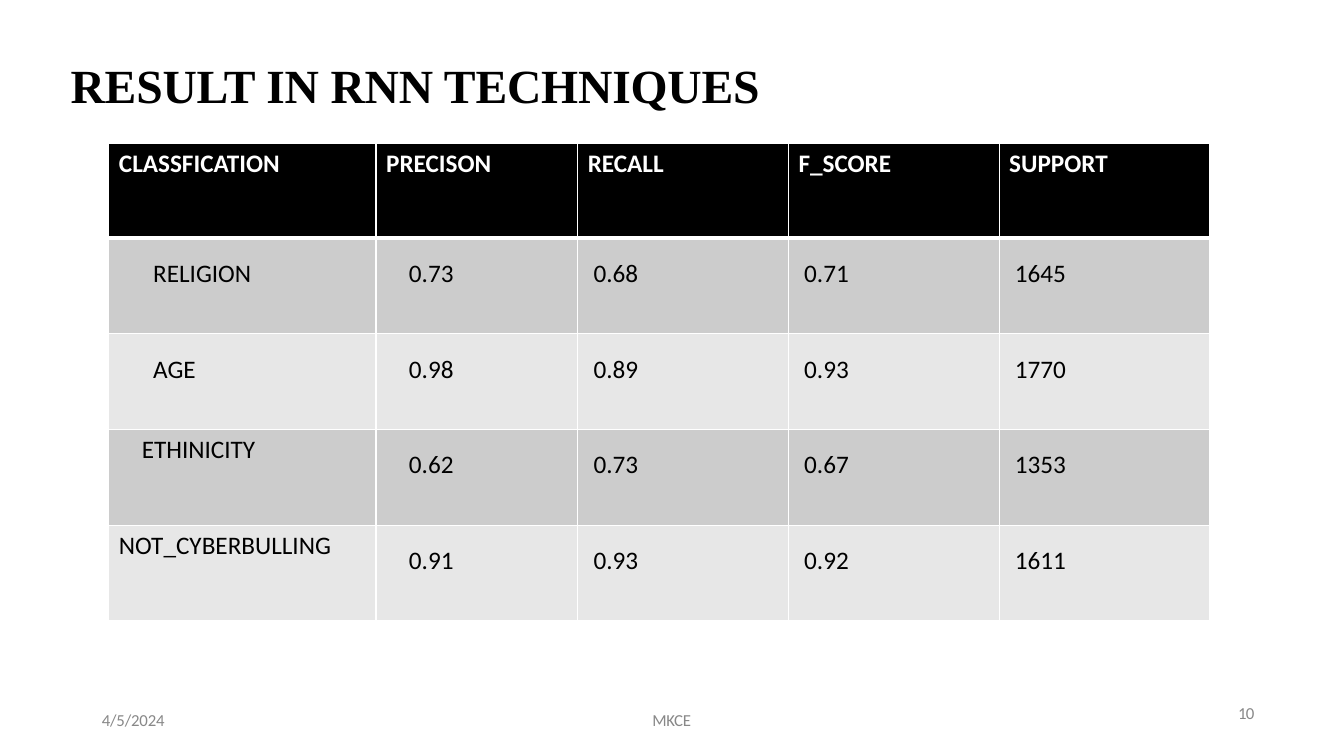
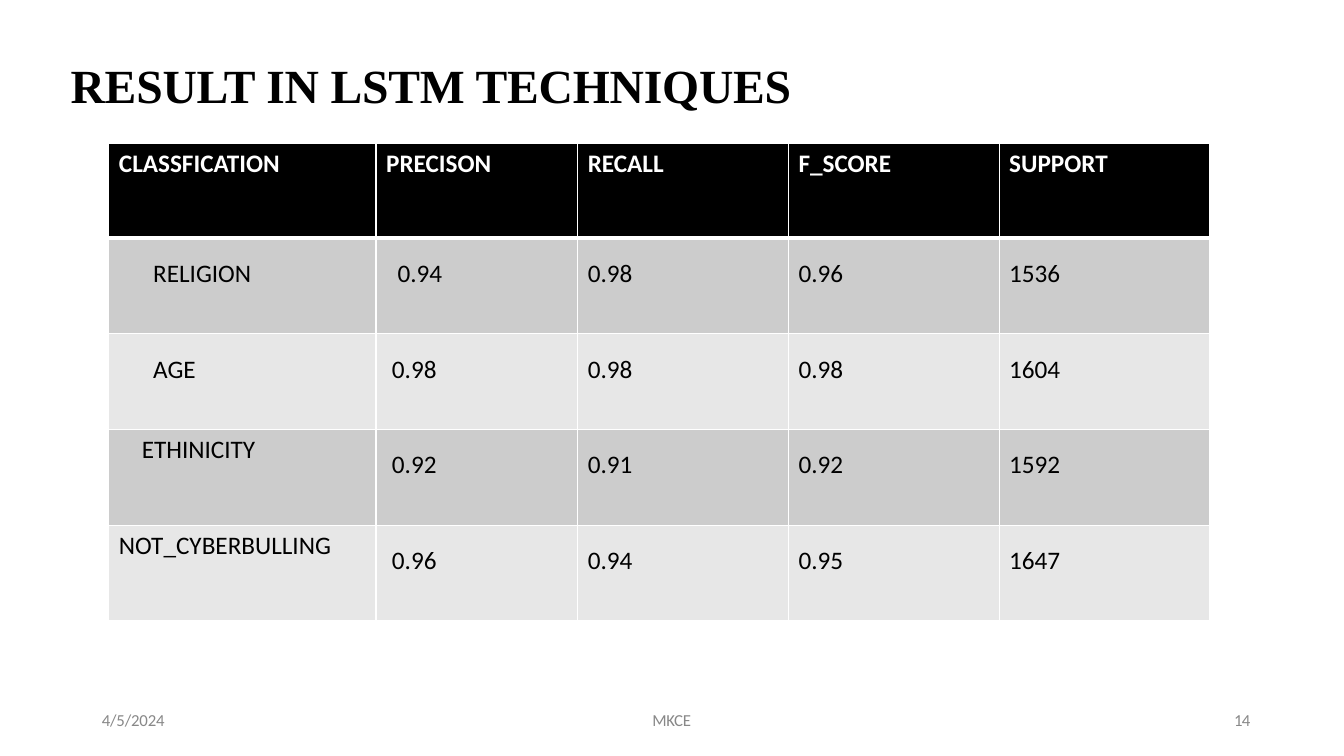
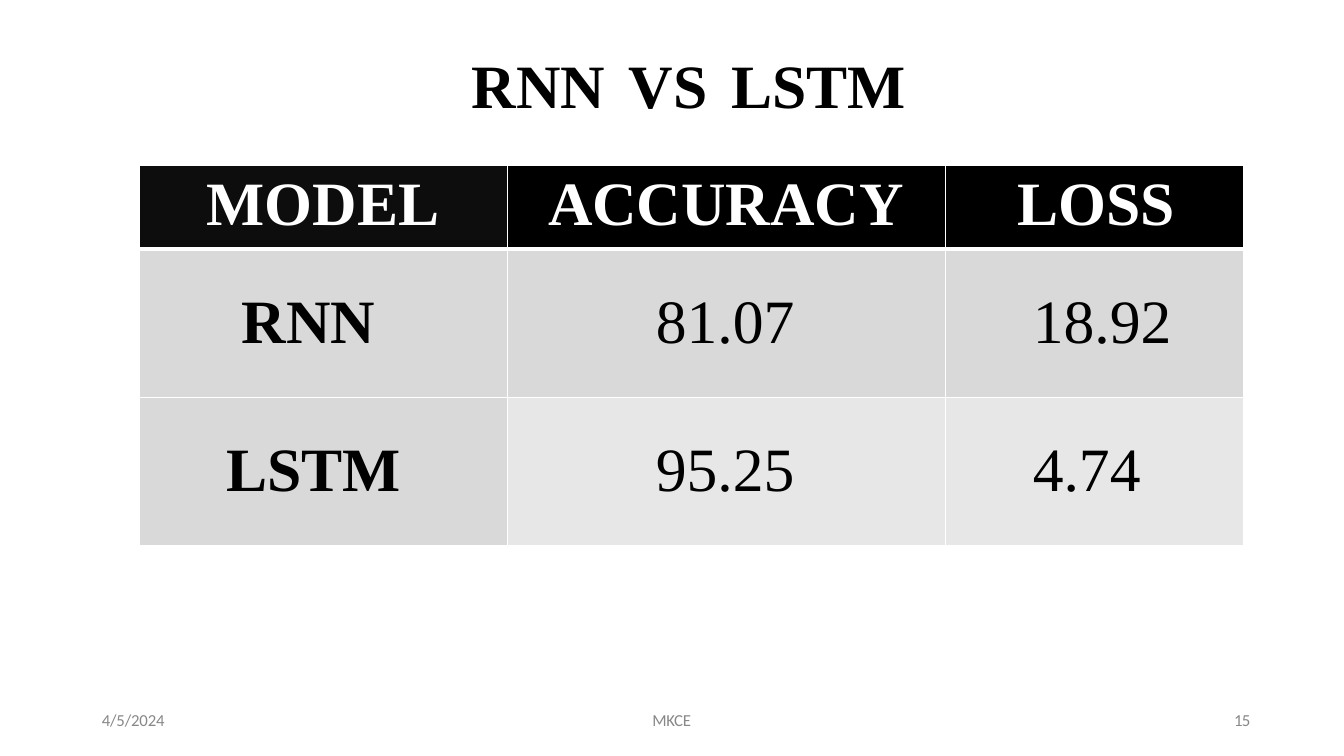
from lxml.etree import SubElement
from pptx import Presentation
from pptx.dml.color import RGBColor
from pptx.enum.text import PP_ALIGN
from pptx.oxml.ns import qn
from pptx.util import Inches, Pt

BLACK = RGBColor(0x00, 0x00, 0x00)
INK = RGBColor(0x0D, 0x0D, 0x0D)
WHITE = RGBColor(0xFF, 0xFF, 0xFF)
GREY = RGBColor(0x88, 0x88, 0x88)
DARK = RGBColor(0xCC, 0xCC, 0xCC)
MID = RGBColor(0xD9, 0xD9, 0xD9)
PALE = RGBColor(0xE7, 0xE7, 0xE7)
SERIF, SANS = "Times New Roman", "Calibri"

# Width of one indent step, in ems of each font
STEP = {SERIF: 0.25, SANS: 0.226}


class Deck:
    def __init__(self):
        self.prs = Presentation()
        self.prs.slide_width = Inches(13.33)
        self.prs.slide_height = Inches(7.5)
        self.slide = None

    def page(self, number, left=12.24, top=7.07):
        """Start a slide with its footer."""
        self.slide = self.prs.slides.add_slide(self.prs.slide_layouts[6])
        notes = [("4/5/2024", 1.01, 7.07, 0.75, -0.1),
                 ("MKCE", 6.47, 7.07, 0.42, -0.2),
                 (str(number), left, top, 0.22, -0.5)]
        for text, x, y, width, track in notes:
            para = self.box(text, x, y, width, 0.2)
            para.line_spacing = Pt(12.4)
            self.style(para.runs[0], SANS, 12, GREY, track=track)

    def box(self, text, left, top, width, height):
        shape = self.slide.shapes.add_textbox(
            Inches(left), Inches(top), Inches(width), Inches(height))
        frame = shape.text_frame
        frame.margin_left = frame.margin_right = 0
        frame.margin_top = frame.margin_bottom = 0
        frame.word_wrap = False
        frame.text = text
        return frame.paragraphs[0]

    def style(self, run, face, size, color, bold=False, track=0):
        font = run.font
        font.name, font.size, font.bold = face, Pt(size), bold
        font.color.rgb = color
        if track:
            run._r.get_or_add_rPr().set("spc", str(round(track * 100)))

    def title(self, words, left, top, width, height, size=34):
        """Title of one or more words, set apart by wide gaps."""
        para = self.box(words[0], left, top, width, height)
        para.space_before = Pt(0.9)
        for word in words[1:]:
            gap = para.add_run()
            gap.text = " "
            self.style(gap, SERIF, 34, BLACK, True, 8.4)
            para.add_run().text = word
        for run in para.runs[::2]:
            self.style(run, SERIF, size, BLACK, True, -0.1)

    def edge(self, cell, sides):
        props = cell._tc.get_or_add_tcPr()
        for side, width in zip("LRTB", sides):
            line = SubElement(props, qn("a:ln" + side), w=str(Pt(width)))
            fill = SubElement(line, qn("a:solidFill"))
            SubElement(fill, qn("a:srgbClr"), val=str(WHITE))

    def table(self, data, left, top, cols, rows, face, size, fills,
              steps, tight=(), strong=False):
        """Grid with a header row; steps are indents, tight cells single-spaced."""
        grid = self.slide.shapes.add_table(
            len(rows), len(cols), Inches(left), Inches(top),
            Inches(sum(cols)), Inches(sum(rows))).table
        for col, width in zip(grid.columns, cols):
            col.width = Inches(width)
        for row, height in zip(grid.rows, rows):
            row.height = Inches(height)
        for i, line in enumerate(data):
            head = i == 0
            for j, text in enumerate(line):
                cell = grid.cell(i, j)
                self.edge(cell, (1, 1, 3 if i == 1 else 1, 3 if head else 1))
                cell.fill.solid()
                cell.fill.fore_color.rgb = fills[i][j]
                cell.text_frame.text = text
                para = cell.text_frame.paragraphs[0]
                if not head and (i, j) not in tight:
                    para.line_spacing = 1.5
                indent = Pt(steps[i][j] * STEP[face] * size)
                para._p.get_or_add_pPr().set("marL", str(indent))
                self.style(para.runs[0], face, size, WHITE if head else BLACK,
                           head or (strong and j == 0))
        return grid

    def scores(self, name, values, steps):
        """Slide body for the scores of one model."""
        self.title([f"RESULT IN {name} TECHNIQUES"], 0.7, 0.55, 8.06, 0.59)
        heads = ["CLASSFICATION", "PRECISON", "RECALL", "F_SCORE", "SUPPORT"]
        labels = ["RELIGION", "AGE", "ETHINICITY", "NOT_CYBERBULLING"]
        data = [heads] + [[a, *b] for a, b in zip(labels, values)]
        fills = [[tone] * 5 for tone in (BLACK, DARK, PALE, DARK, PALE)]
        inset = [[0] * 5] + [[a, *b] for a, b in zip((6, 6, 4, 0), steps)]
        self.table(data, 1.08, 1.42, [2.65, 2] + [2.09] * 3,
                   [0.94] + [0.95] * 4, SANS, 18, fills, inset,
                   tight={(3, 0), (4, 0)})


def main():
    deck = Deck()

    # RNN scores
    deck.page(10, 12.28, 7)
    deck.scores("RNN", [("0.73", "0.68", "0.71", "1645"),
                        ("0.98", "0.89", "0.93", "1770"),
                        ("0.62", "0.73", "0.67", "1353"),
                        ("0.91", "0.93", "0.92", "1611")],
                [(4, 1, 1, 1)] * 4)

    # LSTM scores
    deck.page(14)
    deck.scores("LSTM", [("0.94", "0.98", "0.96", "1536"),
                         ("0.98", "0.98", "0.98", "1604"),
                         ("0.92", "0.91", "0.92", "1592"),
                         ("0.96", "0.94", "0.95", "1647")],
                [(2, 0, 0, 0)] + [(1, 0, 0, 0)] * 3)

    # Comparison of both models
    deck.page(15)
    deck.title(["RNN", "VS", "LSTM"], 4.68, 0.47, 4.42, 0.75, 44)
    grid = deck.table(
        [["MODEL", "ACCURACY", "LOSS"],
         ["RNN", "81.07", "18.92"],
         ["LSTM", "95.25", "4.74"]],
        1.38, 1.64, [3.65, 4.35, 2.95], [0.82, 1.47, 1.47], SERIF, 44,
        [[INK, BLACK, BLACK], [MID] * 3, [MID, PALE, PALE]],
        [(0, 2, 4), (6, 9, 5), (5, 9, 5)], strong=True)
    grid.cell(0, 0).text_frame.paragraphs[0].alignment = PP_ALIGN.CENTER

    deck.prs.save("out.pptx")


if __name__ == "__main__":
    main()
